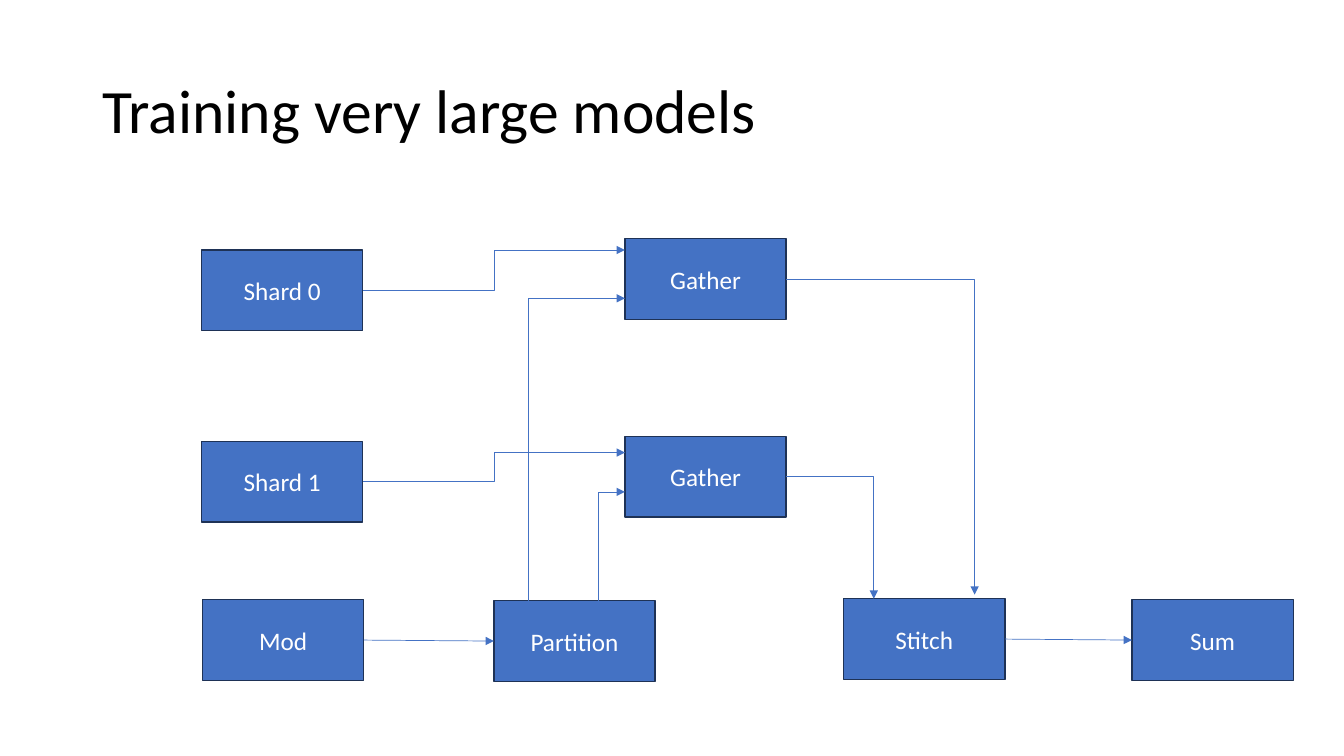
from lxml import etree
from pptx import Presentation
from pptx import util as u
from pptx.dml.color import RGBColor
from pptx.enum import shapes, text
from pptx.oxml import ns

COLORS = {"box": "4472C4", "border": "1E3256", "label": "FFFFFF", "title": "000000"}
FONT = "Calibri"
BOX_W, BOX_H = 115.2, 57.6
LEFT_SIDE, RIGHT_SIDE = 1, 3  # connection sites of a rectangle

prs = Presentation()
prs.slide_width, prs.slide_height = u.Pt(960), u.Pt(540)
slide = prs.slides.add_slide(prs.slide_layouts[5])


def set_font(paragraph, size, color):
    paragraph.font.name = FONT
    paragraph.font.size = u.Pt(size)
    paragraph.font.color.rgb = RGBColor.from_string(COLORS[color])


def add_arrow(kind, x1, y1, x2, y2):
    arrow = slide.shapes.add_connector(kind, u.Pt(x1), u.Pt(y1), u.Pt(x2), u.Pt(y2))
    arrow.line.color.rgb = RGBColor.from_string(COLORS["box"])
    arrow.line.width = u.Pt(0.5)
    etree.SubElement(arrow.line._get_or_add_ln(), ns.qn("a:tailEnd"), type="triangle")
    etree.SubElement(arrow._element.spPr, ns.qn("a:effectLst"))
    return arrow


# Title
title = slide.shapes.title
title.left, title.top, title.width, title.height = u.Pt(66), u.Pt(28.8), u.Pt(828), u.Pt(104.4)
title.text_frame.text = "Training very large models"
title.text_frame.vertical_anchor = text.MSO_ANCHOR.MIDDLE
heading = title.text_frame.paragraphs[0]
heading.alignment = text.PP_ALIGN.LEFT
heading.line_spacing = 0.9
set_font(heading, 44, "title")

# Operation boxes: key, label, left, top
operations = [
    ("shard 0", "Shard 0", 144, 178.6),
    ("shard 1", "Shard 1", 144, 315.4),
    ("mod", "Mod", 144.7, 428.4),
    ("partition", "Partition", 352.8, 429.1),
    ("gather 1", "Gather", 446.4, 311.8),
    ("gather 0", "Gather", 446.4, 170.6),
    ("stitch", "Stitch", 602.6, 427.7),
    ("sum", "Sum", 808.6, 428.4),
]
boxes = {}
for key, label, left, top in operations:
    box = slide.shapes.add_shape(
        shapes.MSO_SHAPE.RECTANGLE, u.Pt(left), u.Pt(top), u.Pt(BOX_W), u.Pt(BOX_H))
    box.shadow.inherit = False
    box.fill.solid()
    box.fill.fore_color.rgb = RGBColor.from_string(COLORS["box"])
    box.line.color.rgb = RGBColor.from_string(COLORS["border"])
    box.line.width = u.Pt(1)
    box.text_frame.text = label
    box.text_frame.vertical_anchor = text.MSO_ANCHOR.MIDDLE
    box.text_frame.paragraphs[0].alignment = text.PP_ALIGN.CENTER
    set_font(box.text_frame.paragraphs[0], 18, "label")
    boxes[key] = box

# Straight arrows along the bottom row
for source, target in [("mod", "partition"), ("stitch", "sum")]:
    arrow = add_arrow(shapes.MSO_CONNECTOR.STRAIGHT, 0, 0, 0, 0)
    arrow.begin_connect(boxes[source], RIGHT_SIDE)
    arrow.end_connect(boxes[target], LEFT_SIDE)

# Partition to gathers: up, then right (an elbow turned by 90 degrees)
for x1, y1, x2, y2 in [(427.7, 439.9, 446.4, 351.4), (377.3, 442.8, 446.4, 213.1)]:
    mid_x, mid_y = (x1 + x2) / 2, (y1 + y2) / 2
    half_rise, half_run = (y1 - y2) / 2, (x2 - x1) / 2
    arrow = add_arrow(shapes.MSO_CONNECTOR.ELBOW, mid_x + half_rise, mid_y + half_run,
                      mid_x - half_rise, mid_y - half_run)
    arrow._element.spPr.prstGeom.set("prst", "bentConnector2")
    arrow._element.spPr.find(ns.qn("a:xfrm")).set("rot", "5400000")

# Elbows leaving the right side of a box: source, end x, end y, preset
elbows = [
    ("gather 1", 624.2, 427.7, "bentConnector2"),
    ("gather 0", 696.2, 424.8, "bentConnector2"),
    ("shard 1", 446.4, 323.3, "bentConnector3"),
    ("shard 0", 446.4, 178.6, "bentConnector3"),
]
for source, end_x, end_y, preset in elbows:
    arrow = add_arrow(shapes.MSO_CONNECTOR.ELBOW, 0, 0, end_x, end_y)
    arrow.begin_connect(boxes[source], RIGHT_SIDE)
    arrow._element.spPr.find(ns.qn("a:prstGeom")).set("prst", preset)

prs.save("out.pptx")
